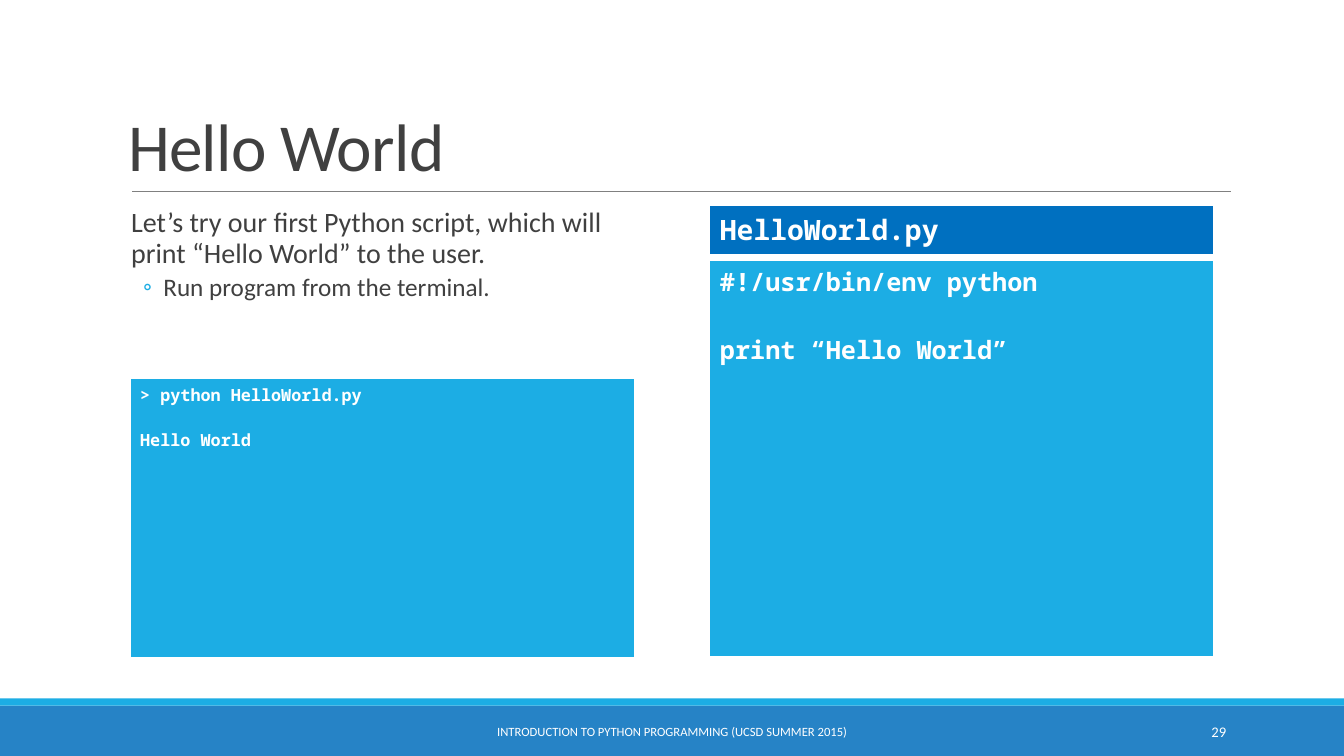
from lxml import etree
from pptx import Presentation
from pptx.dml.color import RGBColor
from pptx.enum.shapes import MSO_CONNECTOR, MSO_SHAPE
from pptx.enum.text import MSO_ANCHOR, MSO_AUTO_SIZE, PP_ALIGN
from pptx.oxml.ns import qn
from pptx.util import Inches, Pt

COLORS = {
    "text": "404040",
    "white": "FFFFFF",
    "cyan": "1CADE4",
    "blue": "2683C6",
    "header": "0070C0",
    "rule": "808080",
}
SANS, MONO = "Calibri", "Noto Sans Mono"


def rgb(name):
    return RGBColor.from_string(COLORS[name])


def style(paragraph, size, color, face=SANS, bold=False):
    font = paragraph.font
    font.name, font.size, font.bold = face, Pt(size), bold
    font.color.rgb = rgb(color)


deck = Presentation()
deck.slide_width, deck.slide_height = Inches(13.33), Inches(7.5)
page = deck.slides.add_slide(deck.slide_layouts[1])
shapes = page.shapes

for top, height, color in [(7, 0.5, "blue"), (6.93, 0.07, "cyan")]:
    band = shapes.add_shape(MSO_SHAPE.RECTANGLE, 0, Inches(top), deck.slide_width, Inches(height))
    band.shadow.inherit = False
    band.fill.solid()
    band.fill.fore_color.rgb = rgb(color)
    band.line.fill.background()

rule = shapes.add_connector(
    MSO_CONNECTOR.STRAIGHT, Inches(1.31), Inches(1.9), Inches(12.21), Inches(1.9)
)
rule.line.color.rgb = rgb("rule")
rule.line.width = Pt(0.5)
etree.SubElement(rule._element.spPr, qn("a:effectLst"))

title = shapes.title
title.left, title.top, title.width, title.height = map(Inches, (1.17, 0.3, 11, 1.59))
title.text_frame.text = "Hello World"
title.text_frame.vertical_anchor = MSO_ANCHOR.BOTTOM
title.text_frame.auto_size = MSO_AUTO_SIZE.NONE
heading = title.text_frame.paragraphs[0]
heading.alignment = PP_ALIGN.LEFT
heading.line_spacing = 0.85
style(heading, 48, "text")
heading.runs[0]._r.get_or_add_rPr().set("spc", "-50")

body = page.placeholders[1]
body.left, body.top, body.width, body.height = map(Inches, (1.2, 2.02, 11, 4.4))
frame = body.text_frame
frame.auto_size = MSO_AUTO_SIZE.NONE
frame.margin_left = frame.margin_right = 0
points = [
    ("Let’s try our first Python script, which will\vprint “Hello World” to the user.",
     20, 0.1, 0, 12, 2, None),
    ("Run program from the terminal.", 18, 0.42, -0.2, 2, 4, "◦"),
]
for level, (text, size, margin, indent, before, after, bullet) in enumerate(points):
    para = frame.add_paragraph() if level else frame.paragraphs[0]
    para.text = text
    para.level = level
    para.line_spacing = 0.9
    para.space_before, para.space_after = Pt(before), Pt(after)
    props = para._p.get_or_add_pPr()
    props.set("marL", str(Inches(margin)))
    props.set("indent", str(Inches(indent)))
    if bullet:
        bullet_color = etree.SubElement(props, qn("a:buClr"))
        etree.SubElement(bullet_color, qn("a:srgbClr"), val=COLORS["cyan"])
        etree.SubElement(props, qn("a:buFont"), typeface=SANS)
        etree.SubElement(props, qn("a:buChar"), char=bullet)
    else:
        etree.SubElement(props, qn("a:buNone"))
    style(para, size, "text")

panels = [
    (7.04, 2.58, 3.95, 18, "cyan", ["#!/usr/bin/env python", "print “Hello World”"]),
    (1.29, 3.75, 2.79, 12, "cyan", ["> python HelloWorld.py", "Hello World"]),
    (7.04, 2.04, 0.5, 20, "header", ["HelloWorld.py"]),
]
for left, top, height, size, color, lines in panels:
    table = shapes.add_table(1, 1, *map(Inches, (left, top, 5, height))).table
    cell = table.cell(0, 0)
    cell.text = "\n".join(lines)
    for para in cell.text_frame.paragraphs:
        style(para, size, "white", MONO, True)
    for para in cell.text_frame.paragraphs[:-1]:
        para.space_after = Pt(size * 4 / 3)
    cell_props = cell._tc.get_or_add_tcPr()
    for side, width in [("L", 1), ("R", 1), ("T", 1), ("B", 3)]:
        border = etree.SubElement(cell_props, qn(f"a:ln{side}"), w=str(Pt(width)))
        border_fill = etree.SubElement(border, qn("a:solidFill"))
        etree.SubElement(border_fill, qn("a:srgbClr"), val=COLORS["white"])
    cell.fill.solid()
    cell.fill.fore_color.rgb = rgb(color)

footers = [
    (10.83, 1.43, "29", 10.5, PP_ALIGN.RIGHT),
    (4.03, 5.27, "INTRODUCTION TO PYTHON PROGRAMMING (UCSD SUMMER 2015)", 9, PP_ALIGN.CENTER),
]
for left, width, text, size, alignment in footers:
    box = shapes.add_textbox(*map(Inches, (left, 7.06, width, 0.4)))
    box.text_frame.word_wrap = True
    box.text_frame.vertical_anchor = MSO_ANCHOR.MIDDLE
    box.text_frame.text = text
    para = box.text_frame.paragraphs[0]
    para.alignment = alignment
    style(para, size, "white")

deck.save("out.pptx")
